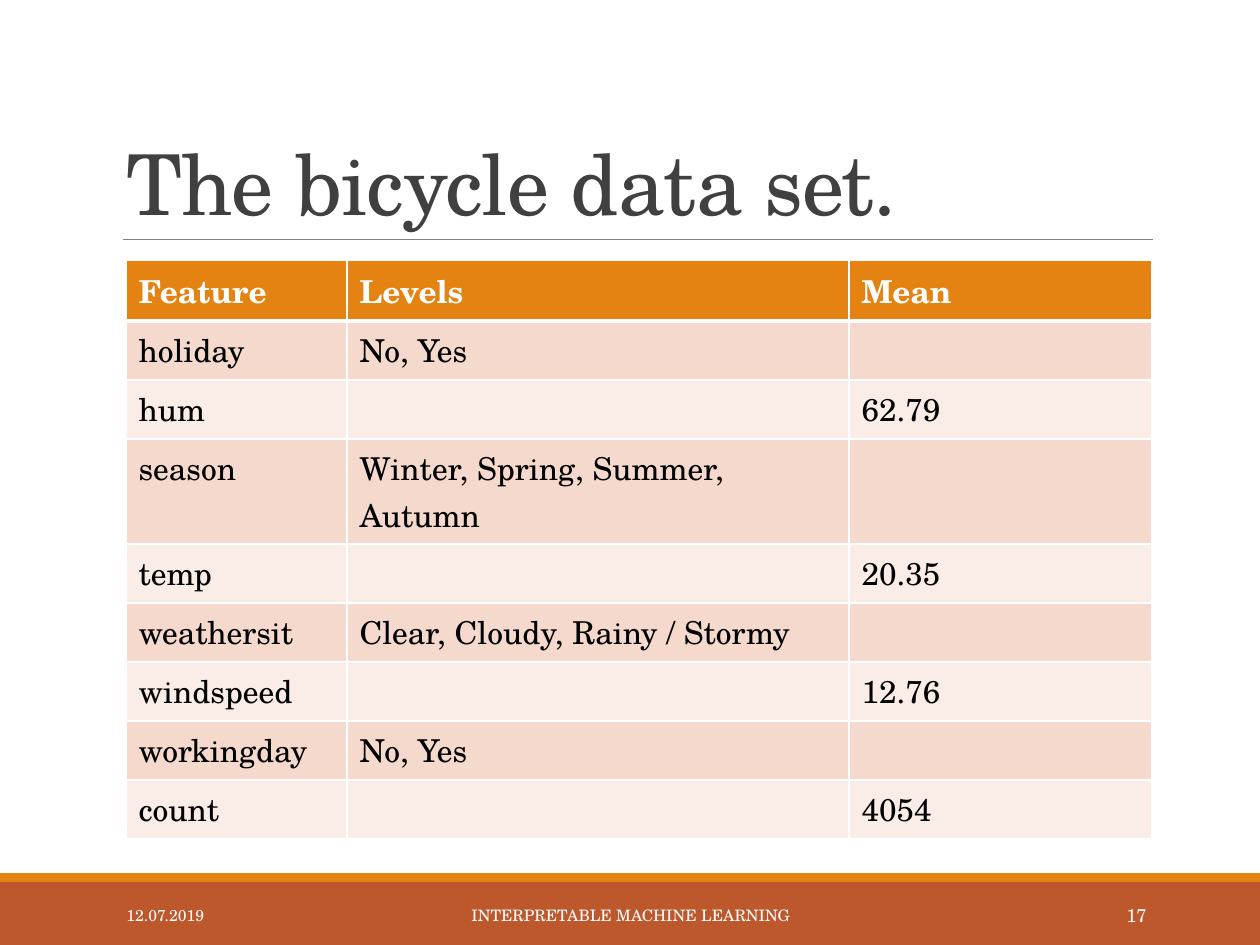
"""Build the slide that lists the features of the bicycle data set."""
import pptx
import pptx.dml.color
import pptx.enum.shapes
import pptx.enum.text
import pptx.oxml.ns
import pptx.util
import lxml.etree

THEME = {
    "font": "TeX Gyre Schola",
    "title": "404040", "rule": "808080", "white": "FFFFFF", "body": "000000",
    "accent": "E48312", "footer": "BD582C", "bands": ("F5D9CC", "FAEDE7"),
    "title_size": 48, "table_size": 18, "footer_size": 9, "number_size": 10.5,
}
ALIGN = pptx.enum.text.PP_ALIGN
ANCHOR = pptx.enum.text.MSO_ANCHOR


def px(*lengths):
    """Turn pixels into EMU."""
    return [round(length * 914400 / 126) for length in lengths]


def add_run(paragraph, text, size, color, bold=False):
    """Add one styled run of text."""
    run = paragraph.add_run()
    run.text = text
    run.font.name = THEME["font"]
    run.font.size = pptx.util.Pt(size)
    run.font.bold = bold
    run.font.color.rgb = pptx.dml.color.RGBColor.from_string(color)
    return run


presentation = pptx.Presentation()
presentation.slide_width, presentation.slide_height = px(1260, 945)
slide = presentation.slides.add_slide(presentation.slide_layouts[6])

for top, height, color in ((882, 63, THEME["footer"]), (873, 9, THEME["accent"])):
    bar = slide.shapes.add_shape(pptx.enum.shapes.MSO_SHAPE.RECTANGLE, *px(0, top, 1260, height))
    bar.shadow.inherit = False
    bar.fill.solid()
    bar.fill.fore_color.rgb = pptx.dml.color.RGBColor.from_string(color)
    bar.line.fill.background()

rule = slide.shapes.add_connector(
    pptx.enum.shapes.MSO_CONNECTOR.STRAIGHT, *px(123, 239, 1153, 239))
rule.line.color.rgb = pptx.dml.color.RGBColor.from_string(THEME["rule"])
rule.line.width = pptx.util.Pt(0.5)
lxml.etree.SubElement(rule.element.spPr, pptx.oxml.ns.qn("a:effectLst"))

title = slide.shapes.add_textbox(*px(114, 39, 1040, 200))
title.text_frame.word_wrap = True
title.text_frame.vertical_anchor = ANCHOR.BOTTOM
title_paragraph = title.text_frame.paragraphs[0]
title_paragraph.line_spacing = 0.85
title_run = add_run(title_paragraph, "The bicycle data set.", THEME["title_size"], THEME["title"])
title_run._r.get_or_add_rPr().set("spc", "-50")

rows = (
    ("Feature", "Levels", "Mean"),
    ("holiday", "No, Yes", ""),
    ("hum", "", "62.79"),
    ("season", "Winter, Spring, Summer, Autumn", ""),
    ("temp", "", "20.35"),
    ("weathersit", "Clear, Cloudy, Rainy / Stormy", ""),
    ("windspeed", "", "12.76"),
    ("workingday", "No, Yes", ""),
    ("count", "", "4054"),
)
column_widths = (221, 502, 303)
row_heights = [{"Feature": 61, "season": 105}.get(values[0], 59) for values in rows]
table = slide.shapes.add_table(
    len(rows), len(column_widths),
    *px(126, 260, sum(column_widths), sum(row_heights))).table
for column, width in zip(table.columns, px(*column_widths)):
    column.width = width
for row_index, (values, height) in enumerate(zip(rows, px(*row_heights))):
    table.rows[row_index].height = height
    header = row_index == 0
    fill = THEME["accent"] if header else THEME["bands"][(row_index - 1) % 2]
    color = THEME["white"] if header else THEME["body"]
    border_points = {"lnL": 1, "lnR": 1, "lnT": 3 if row_index == 1 else 1, "lnB": 3 if header else 1}
    for column_index, value in enumerate(values):
        cell = table.cell(row_index, column_index)
        properties = cell._tc.get_or_add_tcPr()
        for side, points in border_points.items():
            border = lxml.etree.SubElement(
                properties, pptx.oxml.ns.qn("a:" + side), w=str(pptx.util.Pt(points)))
            border_fill = lxml.etree.SubElement(border, pptx.oxml.ns.qn("a:solidFill"))
            lxml.etree.SubElement(border_fill, pptx.oxml.ns.qn("a:srgbClr"), val=THEME["white"])
        cell.fill.solid()
        cell.fill.fore_color.rgb = pptx.dml.color.RGBColor.from_string(fill)
        properties.append(properties.find(pptx.oxml.ns.qn("a:solidFill")))
        if value:
            add_run(cell.text_frame.paragraphs[0], value, THEME["table_size"], color, header)

footers = (
    ("12.07.2019", 114, 256, ALIGN.LEFT, THEME["footer_size"]),
    ("INTERPRETABLE MACHINE LEARNING", 381, 499, ALIGN.CENTER, THEME["footer_size"]),
    ("17", 1023, 136, ALIGN.RIGHT, THEME["number_size"]),
)
for text, left, width, alignment, size in footers:
    footer = slide.shapes.add_textbox(*px(left, 890, width, 50))
    footer.text_frame.word_wrap = True
    footer.text_frame.vertical_anchor = ANCHOR.MIDDLE
    paragraph = footer.text_frame.paragraphs[0]
    paragraph.alignment = alignment
    add_run(paragraph, text, size, THEME["white"])

presentation.save("out.pptx")
